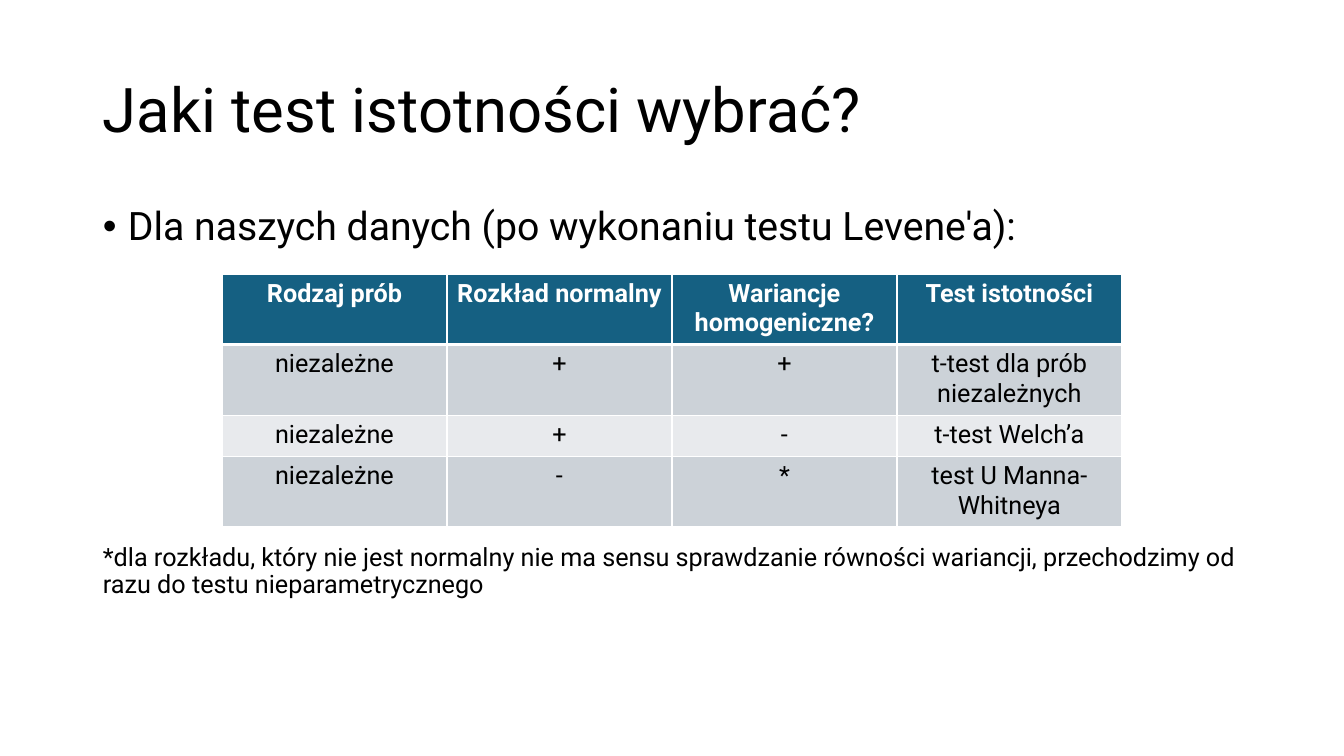
from dataclasses import dataclass

from pptx import Presentation
from pptx.dml.color import RGBColor as Rgb
from pptx.enum.text import MSO_ANCHOR as Anchor, PP_ALIGN as Align
from pptx.oxml import parse_xml
from pptx.oxml.ns import nsdecls
from pptx.util import Pt

SCALE = 914400 / 100.8  # EMU per px


@dataclass(frozen=True)
class Theme:
    font: str = "Roboto"
    ink: str = "000000"
    white: str = "FFFFFF"
    head: str = "156082"
    dark: str = "CCD2D8"
    light: str = "E8EAED"
    title: int = 44
    body: int = 28
    small: int = 18


THEME = Theme()

ROWS = [
    ["Rodzaj prób", "Rozkład normalny", "Wariancje homogeniczne?", "Test istotności"],
    ["niezależne", "+", "+", "t-test dla prób niezależnych"],
    ["niezależne", "+", "-", "t-test Welch’a"],
    ["niezależne", "-", "*", "test U Manna-Whitneya"],
]
HEIGHTS = [69, 69, 41, 69]
NOTE = ("*dla rozkładu, który nie jest normalny nie ma sensu sprawdzanie równości "
        "wariancji, przechodzimy od razu do testu nieparametrycznego")


def px(n):
    return round(n * SCALE)


def add_run(para, text, size, color=THEME.ink, bold=False):
    run = para.add_run()
    run.text = text
    font = run.font
    font.name, font.size, font.bold = THEME.font, Pt(size), bold
    font.color.rgb = Rgb.from_string(color)


def set_bullet(para, indent):
    props = para._p.get_or_add_pPr()
    props.set("marL", str(px(indent)))
    props.set("indent", str(-px(indent)))
    props.append(parse_xml(f'<a:buFont {nsdecls("a")} typeface="Arial"/>'))
    props.append(parse_xml(f'<a:buChar {nsdecls("a")} char="•"/>'))


def add_text(slide, box, text, size, anchor=Anchor.TOP, bullet=False):
    frame = slide.shapes.add_textbox(*map(px, box)).text_frame
    frame.word_wrap = True
    frame.vertical_anchor = anchor
    para = frame.paragraphs[0]
    if bullet:
        set_bullet(para, 25)
    para.line_spacing = 0.9
    add_run(para, text, size)


def set_edges(cell, top, bottom):
    props = cell._tc.get_or_add_tcPr()
    widths = {"lnL": 1, "lnR": 1, "lnT": top, "lnB": bottom}
    for spot, (side, width) in enumerate(widths.items()):
        props.insert(spot, parse_xml(
            f'<a:{side} {nsdecls("a")} w="{Pt(width)}"><a:solidFill>'
            f'<a:srgbClr val="{THEME.white}"/></a:solidFill></a:{side}>'))


def fill_cell(cell, text, row):
    head = row == 0
    fill = THEME.head if head else THEME.dark if row % 2 else THEME.light
    cell.fill.solid()
    cell.fill.fore_color.rgb = Rgb.from_string(fill)
    set_edges(cell, 3 if row == 1 else 1, 3 if head else 1)
    para = cell.text_frame.paragraphs[0]
    para.alignment = Align.CENTER
    add_run(para, text, THEME.small, THEME.white if head else THEME.ink, head)


def add_grid(slide, left, top, width):
    count = len(ROWS[0])
    box = map(px, (left, top, width * count, sum(HEIGHTS)))
    table = slide.shapes.add_table(len(ROWS), count, *box).table
    for col in table.columns:
        col.width = px(width)
    for row, texts in enumerate(ROWS):
        table.rows[row].height = px(HEIGHTS[row])
        for col, text in enumerate(texts):
            fill_cell(table.cell(row, col), text, row)


def main():
    deck = Presentation()
    deck.slide_width, deck.slide_height = px(1344), px(756)
    slide = deck.slides.add_slide(deck.slide_layouts[6])

    # Title and lead
    add_text(slide, (93, 40, 1159, 146), "Jaki test istotności wybrać?",
             THEME.title, Anchor.MIDDLE)
    add_text(slide, (93, 202, 1159, 52),
             "Dla naszych danych (po wykonaniu testu Levene'a):",
             THEME.body, bullet=True)

    # Table of tests
    add_grid(slide, 222, 274, 225)

    # Footnote
    add_text(slide, (93, 540, 1159, 64), NOTE, THEME.small)

    deck.save("out.pptx")


if __name__ == "__main__":
    main()
